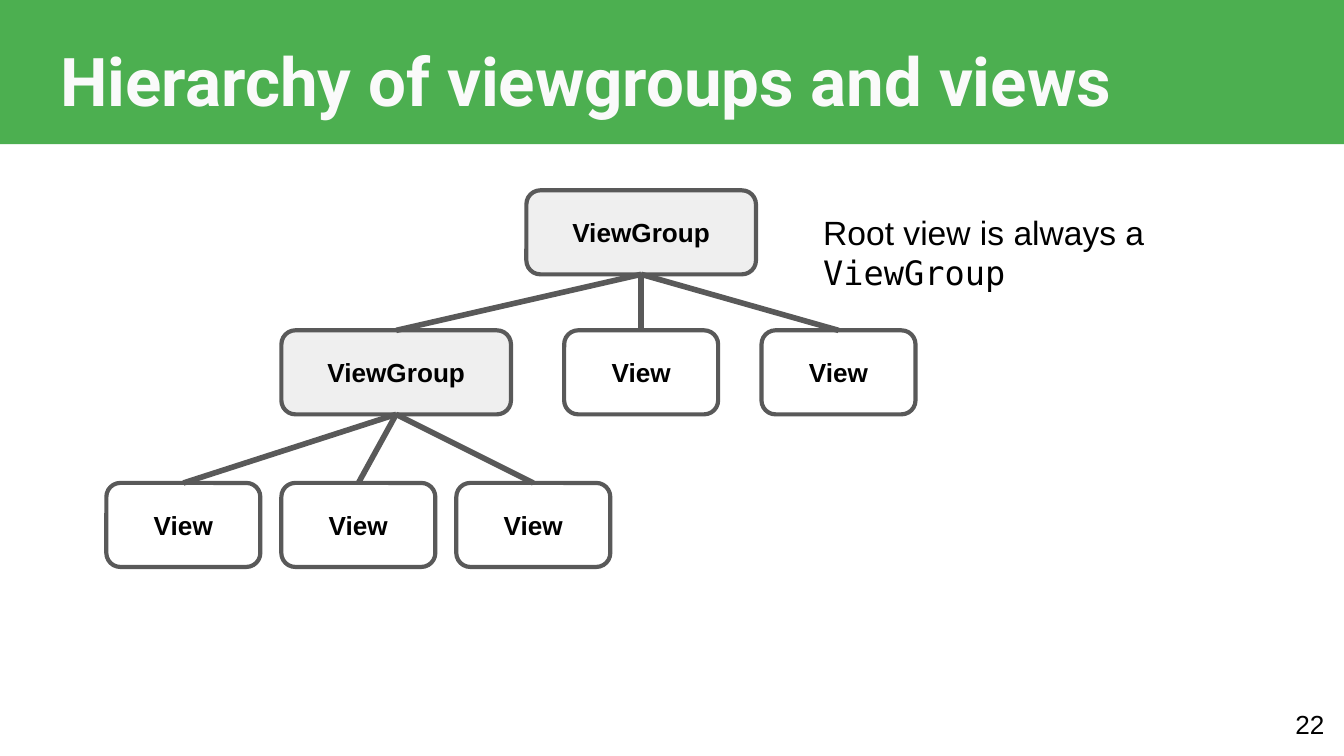
from dataclasses import dataclass

from lxml.etree import SubElement
from pptx import Presentation
from pptx.dml.color import RGBColor
from pptx.enum.shapes import MSO_CONNECTOR, MSO_SHAPE
from pptx.enum.text import MSO_ANCHOR, MSO_AUTO_SIZE, PP_ALIGN
from pptx.oxml.ns import qn
from pptx.util import Emu, Pt

GREEN = RGBColor(0x4C, 0xAF, 0x50)
OFF_WHITE = RGBColor(0xFA, 0xFA, 0xFA)
WHITE = RGBColor(0xFF, 0xFF, 0xFF)
LIGHT_GRAY = RGBColor(0xEF, 0xEF, 0xEF)
DARK_GRAY = RGBColor(0x59, 0x59, 0x59)
BLACK = RGBColor(0, 0, 0)

EMU_PER_PX = 9525
NODE_HEIGHT = 60
TOP, BOTTOM = 0, 2


@dataclass(frozen=True)
class Kind:
    label: str
    width: int
    fill: RGBColor


@dataclass(frozen=True)
class Node:
    kind: Kind
    x: int
    y: int
    parent: int | None = None


GROUP = Kind("ViewGroup", 164, LIGHT_GRAY)
VIEW = Kind("View", 110, WHITE)
NODES = [
    Node(GROUP, 376, 136),
    Node(GROUP, 201, 236, 0),
    Node(VIEW, 403, 236, 0),
    Node(VIEW, 544, 236, 0),
    *(Node(VIEW, 76 + 125 * i, 345, 1) for i in range(3)),
]


def px(*values: int) -> list[Emu]:
    """Turn pixel lengths into EMU."""
    return [Emu(v * EMU_PER_PX) for v in values]


def set_attrs(target, values: dict) -> None:
    """Set every attribute named in a dict of format values."""
    for name, value in values.items():
        setattr(target, name, value)


def write(shape, runs, size: int, color=BLACK, bold=False,
          align=PP_ALIGN.LEFT, anchor=MSO_ANCHOR.TOP) -> None:
    """Fill a shape with one paragraph of (text, font) runs."""
    tf = shape.text_frame
    inset = px(10)[0]
    set_attrs(tf, {"word_wrap": True, "auto_size": MSO_AUTO_SIZE.NONE,
                   "vertical_anchor": anchor, "margin_left": inset,
                   "margin_right": inset, "margin_top": inset, "margin_bottom": inset})
    p = tf.paragraphs[0]
    p.alignment = align
    for text, font in runs:
        r = p.add_run()
        r.text = text
        set_attrs(r.font, {"name": font, "size": Pt(size), "bold": bold})
        r.font.color.rgb = color


def add_band(s) -> None:
    """Draw the green header band behind the title."""
    sp = s.shapes.add_shape(MSO_SHAPE.RECTANGLE, *px(0, 0, 960, 103))
    sp.shadow.inherit = False
    sp.fill.solid()
    sp.fill.fore_color.rgb = GREEN
    sp.line.fill.background()
    s.shapes._spTree.insert(2, sp._element)


def add_node(s, node: Node):
    """Draw one labelled box of the hierarchy."""
    kind = node.kind
    sp = s.shapes.add_shape(MSO_SHAPE.ROUNDED_RECTANGLE,
                            *px(node.x, node.y, kind.width, NODE_HEIGHT))
    sp.shadow.inherit = False
    sp.fill.solid()
    sp.fill.fore_color.rgb = kind.fill
    sp.line.color.rgb = DARK_GRAY
    sp.line.width = Pt(2.25)
    write(sp, [(kind.label, "Arial")], 14, bold=True,
          align=PP_ALIGN.CENTER, anchor=MSO_ANCHOR.MIDDLE)
    return sp


def add_branch(s, parent, child) -> None:
    """Join the bottom of a parent box to the top of its child."""
    line = s.shapes.add_connector(MSO_CONNECTOR.STRAIGHT, 0, 0, 0, 0)
    line.begin_connect(parent, BOTTOM)
    line.end_connect(child, TOP)
    line.line.color.rgb = DARK_GRAY
    line.line.width = Pt(3)
    SubElement(line._element.spPr, qn("a:effectLst"))


def main() -> None:
    """Build the slide and save it."""
    prs = Presentation()
    prs.slide_width, prs.slide_height = px(960, 540)
    s = prs.slides.add_slide(prs.slide_layouts[5])
    add_band(s)

    title = s.shapes.title
    set_attrs(title, dict(zip(("left", "top", "width", "height"), px(33, 18, 895, 60))))
    write(title, [("Hierarchy of viewgroups and views", "Roboto")], 36, OFF_WHITE, True)

    number = s.shapes.add_textbox(*px(898, 497, 58, 41))
    write(number, [("22", "Arial")], 14, align=PP_ALIGN.RIGHT, anchor=MSO_ANCHOR.MIDDLE)

    boxes = [add_node(s, node) for node in NODES]
    for node, box in zip(NODES, boxes):
        if node.parent is not None:
            add_branch(s, boxes[node.parent], box)

    note = s.shapes.add_textbox(*px(578, 141, 382, 41))
    write(note, [("Root view is always a ", "Arial"), ("ViewGroup", "DejaVu Sans Mono")], 18)
    prs.save("out.pptx")


if __name__ == "__main__":
    main()
